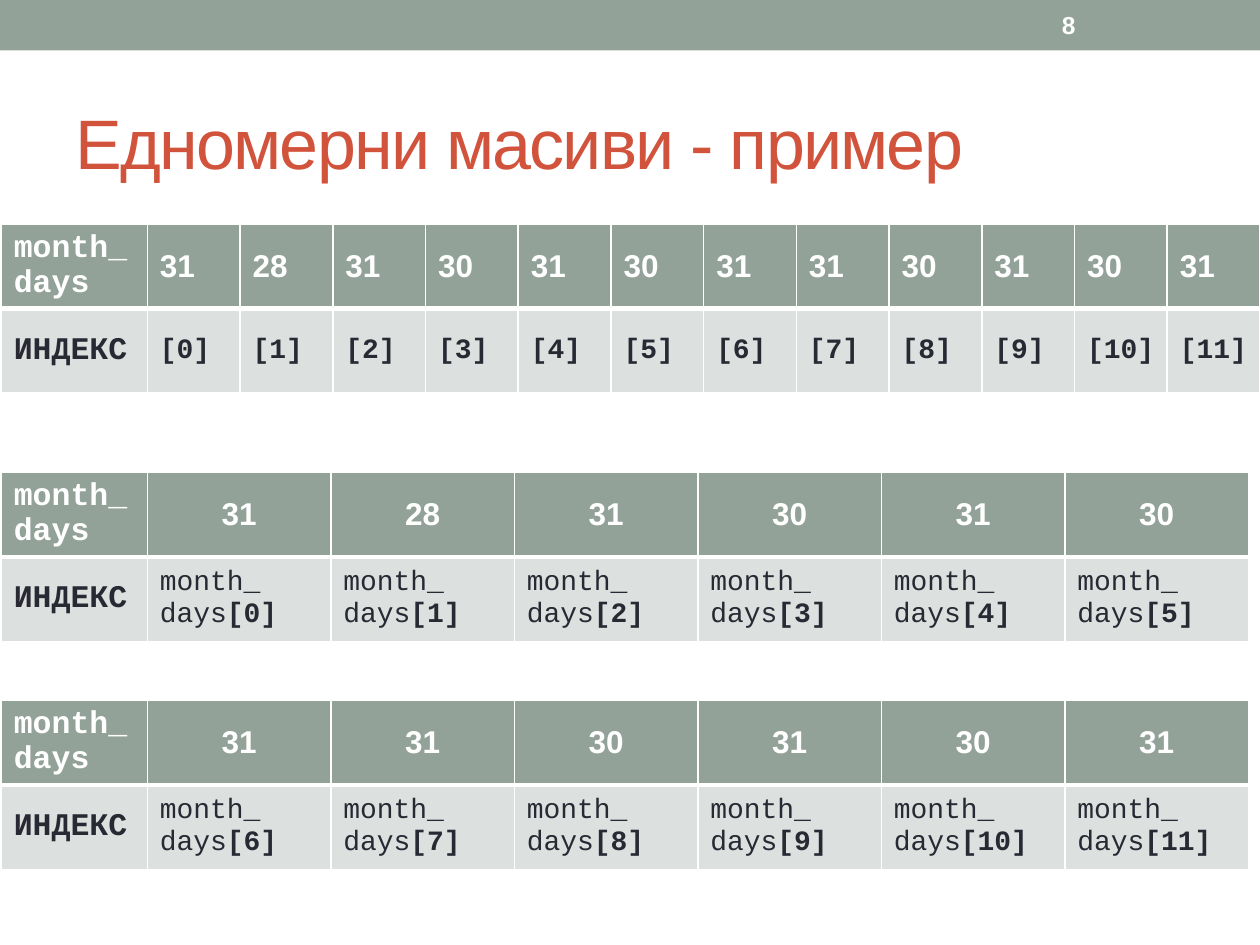
from dataclasses import dataclass

from lxml import etree
from pptx import Presentation
from pptx.dml.color import RGBColor
from pptx.enum.shapes import MSO_SHAPE
from pptx.enum.text import MSO_ANCHOR, PP_ALIGN
from pptx.oxml.ns import qn
from pptx.util import Inches, Pt

RECTANGLE = MSO_SHAPE.RECTANGLE
MIDDLE = MSO_ANCHOR.MIDDLE
LEFT, CENTER = PP_ALIGN.LEFT, PP_ALIGN.CENTER


@dataclass(frozen=True)
class Theme:
    """Colours, fonts and type sizes of the slide."""
    sage: str = "93A299"
    pale: str = "DCE0DE"
    white: str = "FFFFFF"
    ink: str = "292934"
    red: str = "D2533C"
    sans: str = "Arial"
    mono: str = "Courier New"
    title: int = 40
    value: int = 18
    index: int = 16
    number: int = 14
    thin: int = 1
    thick: int = 3


THEME = Theme()

TITLE = "Едномерни масиви - пример"
PAGE_NUMBER = "8"
ARRAY_NAME = "month_days"
INDEX_LABEL = "ИНДЕКС"
NAME_LINES = ("month_", "days")
MONTH_DAYS = (31, 28, 31, 30, 31, 30, 31, 31, 30, 31, 30, 31)

# first month, last month, top, width, whether the index shows the array name
TABLES = (
    (0, 12, 1.78, 9.99, False),
    (0, 6, 3.75, 9.9, True),
    (6, 12, 5.56, 9.9, True),
)
TABLE_LEFT = 0.01
LABEL_WIDTH = 1.16
ROW_HEIGHT = 0.67


def style(font, face, size, color, bold=False):
    """Set the face, size, colour and weight of a font."""
    font.name, font.size, font.bold = face, Pt(size), bold
    font.color.rgb = RGBColor.from_string(color)


def border(cell, widths):
    """Draw white cell borders, with widths in points by side."""
    properties = cell._tc.get_or_add_tcPr()
    for position, (side, width) in enumerate(widths.items()):
        line = etree.Element(qn(f"a:ln{side}"), w=str(Pt(width)))
        fill = etree.SubElement(line, qn("a:solidFill"))
        etree.SubElement(fill, qn("a:srgbClr"), val=THEME.white)
        properties.insert(position, line)


def format_cell(cell, is_header):
    """Fill and border a cell, and return its paragraph."""
    cell.fill.solid()
    cell.fill.fore_color.rgb = RGBColor.from_string(
        THEME.sage if is_header else THEME.pale)
    cell.vertical_anchor = MIDDLE
    widths = dict.fromkeys("LRTB", THEME.thin)
    widths["B" if is_header else "T"] = THEME.thick
    border(cell, widths)
    return cell.text_frame.paragraphs[0]


def write_label(cell, text, is_header):
    """Write a row label in the first column."""
    para = format_cell(cell, is_header)
    para.add_run().text = text
    style(para.font, THEME.mono, THEME.value,
          THEME.white if is_header else THEME.ink, True)


def write_value(cell, days, alignment):
    """Write the number of days of one month."""
    para = format_cell(cell, True)
    para.alignment = alignment
    para.add_run().text = str(days)
    style(para.font, THEME.sans, THEME.value, THEME.white, True)


def write_index(cell, month, with_name):
    """Write an array index, after the array name if asked."""
    para = format_cell(cell, False)
    style(para.font, THEME.mono, THEME.index, THEME.ink)
    if with_name:
        first, second = NAME_LINES
        para.add_run().text = first
        para.add_line_break()
        para.add_run().text = second
    span = para.add_run()
    span.text = f"[{month}]"
    span.font.bold = True


def add_month_table(page, start, stop, top, width, with_name):
    """Add a table of month values above their indices."""
    count = stop - start
    table = page.shapes.add_table(
        2, count + 1, Inches(TABLE_LEFT), Inches(top),
        Inches(width), Inches(2 * ROW_HEIGHT)).table
    for row in table.rows:
        row.height = Inches(ROW_HEIGHT)
    for column in table.columns:
        column.width = Inches((width - LABEL_WIDTH) / count)
    table.columns[0].width = Inches(LABEL_WIDTH)

    write_label(table.cell(0, 0), ARRAY_NAME, True)
    write_label(table.cell(1, 0), INDEX_LABEL, False)
    alignment = CENTER if with_name else LEFT
    for column, month in enumerate(range(start, stop), 1):
        write_value(table.cell(0, column), MONTH_DAYS[month], alignment)
        write_index(table.cell(1, column), month, with_name)


def add_band(page, width):
    """Add the coloured band along the top edge."""
    band = page.shapes.add_shape(RECTANGLE, 0, 0, width, Inches(0.4))
    band.shadow.inherit = False
    band.fill.solid()
    band.fill.fore_color.rgb = RGBColor.from_string(THEME.sage)
    band.line.fill.background()


def write_title(page):
    """Place and format the title placeholder."""
    title = page.shapes.title
    title.left, title.top = Inches(0.5), Inches(0.58)
    title.width, title.height = Inches(9), Inches(1.08)
    title.text_frame.vertical_anchor = MIDDLE
    para = title.text_frame.paragraphs[0]
    para.alignment = LEFT
    span = para.add_run()
    span.text = TITLE
    style(para.font, THEME.sans, THEME.title, THEME.red)
    span._r.get_or_add_rPr().set("spc", "-100")


def add_page_number(page):
    """Add the page number inside the band."""
    box = page.shapes.add_textbox(
        Inches(8.33), Inches(0.02), Inches(1.17), Inches(0.36))
    box.text_frame.word_wrap = True
    box.text_frame.vertical_anchor = MIDDLE
    para = box.text_frame.paragraphs[0]
    para.add_run().text = PAGE_NUMBER
    style(para.font, THEME.sans, THEME.number, THEME.white, True)


def main():
    """Build and save the slide."""
    deck = Presentation()
    deck.slide_width, deck.slide_height = Inches(10), Inches(7.5)
    page = deck.slides.add_slide(deck.slide_layouts[5])
    add_band(page, deck.slide_width)
    write_title(page)
    for table in TABLES:
        add_month_table(page, *table)
    add_page_number(page)
    deck.save("out.pptx")


main()
